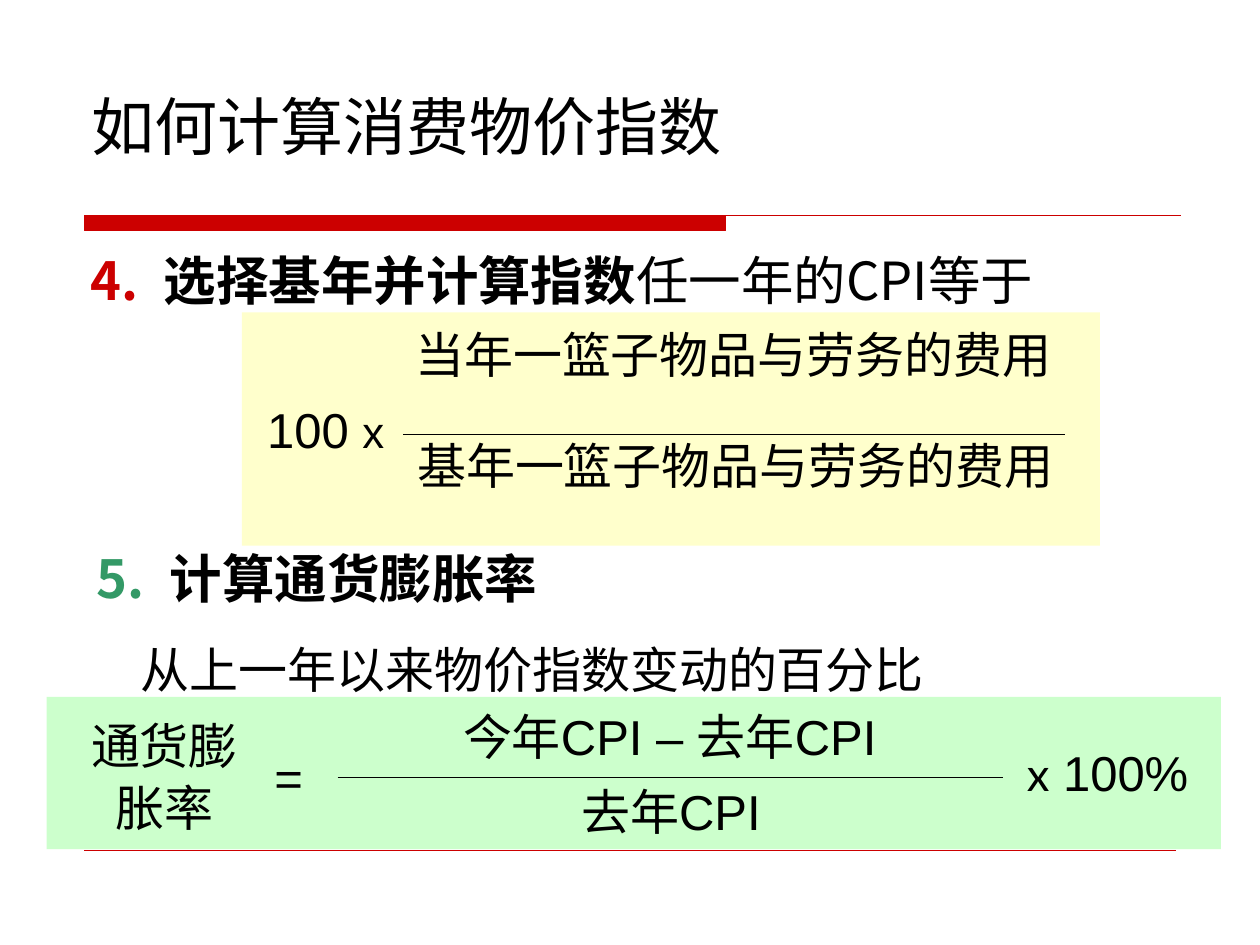
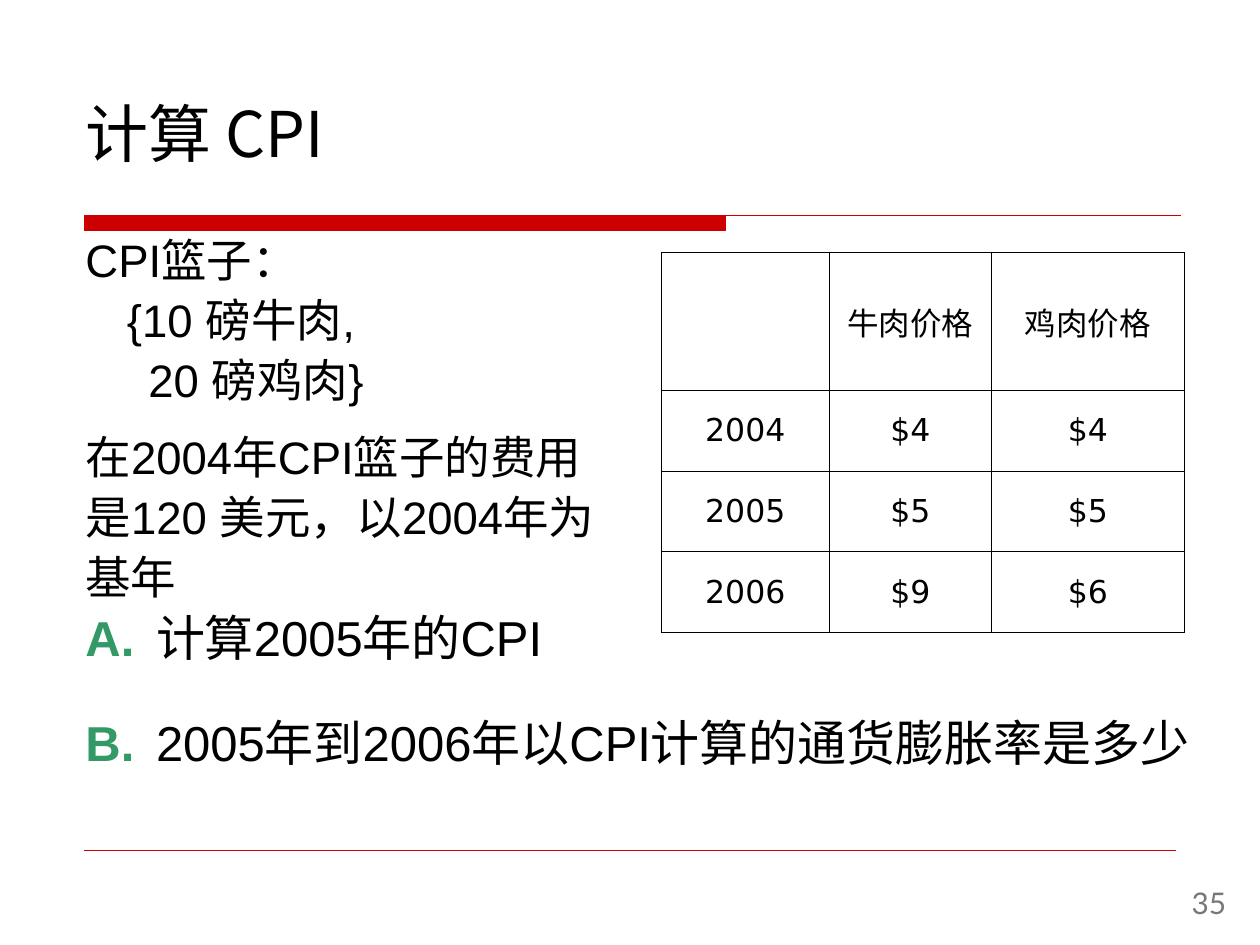
from lxml.etree import SubElement
from pptx import Presentation
from pptx.dml.color import RGBColor
from pptx.enum.shapes import MSO_CONNECTOR as Connector, MSO_SHAPE as Preset
from pptx.enum.text import MSO_ANCHOR as Anchor, PP_ALIGN as Align
from pptx.oxml import parse_xml
from pptx.oxml.ns import nsdecls, qn
from pptx.util import Inches, Pt

COLORS = {
    "ink": "000000", "paper": "FFFFFF", "red": "CC0000", "green": "339966",
    "yellow_panel": "FFFFCC", "green_panel": "CCFFCC", "page": "777777",
}
CJK, BODY, TABLE, LABEL = "Noto Sans CJK SC", "Arial", "DejaVu Sans", "Lato"
COLUMNS, ROWS = 100, 75


def color(name):
    return RGBColor.from_string(COLORS[name])


def add_run(paragraph, text, size, font, ink, bold):
    run = paragraph.add_run()
    run.text = text
    run.font.size = Pt(size)
    run.font.bold = bold
    run.font.color.rgb = color(ink)
    run.font.name = font
    SubElement(run.font._element, qn("a:ea"), typeface=CJK)


def write(frame, text, size=28, font=BODY, ink="ink", bold=False, align=Align.LEFT,
          before=0, spacing=1, left=0, hang=0, number=None, number_ink="ink"):
    """Write one paragraph; text is a string or a list of (string, format changes)."""
    first = frame.paragraphs[0]
    paragraph = frame.add_paragraph() if first.runs else first
    paragraph.alignment = align
    paragraph.space_before = Pt(before)
    paragraph.line_spacing = spacing
    properties = paragraph._p.get_or_add_pPr()
    properties.set("marL", str(Inches(left)))
    properties.set("indent", str(-Inches(hang)))
    if number:
        bullet_color = SubElement(properties, qn("a:buClr"))
        SubElement(bullet_color, qn("a:srgbClr"), val=COLORS[number_ink])
        SubElement(properties, qn("a:buFont"), typeface=CJK)
        SubElement(properties, qn("a:buAutoNum"), type="arabicPeriod", startAt=str(number))
    else:
        SubElement(properties, qn("a:buNone"))
    base = dict(size=size, font=font, ink=ink, bold=bold)
    for part, changes in [(text, {})] if isinstance(text, str) else text:
        add_run(paragraph, part, **{**base, **changes})


class Deck:
    """Hold the presentation, its style and the current slide."""

    def __init__(self):
        self.presentation = Presentation()
        self.presentation.slide_width = Inches(10)
        self.presentation.slide_height = Inches(7.5)
        self.column = self.presentation.slide_width / COLUMNS
        self.row = self.presentation.slide_height / ROWS

    def x(self, columns):
        return round(columns * self.column)

    def y(self, rows):
        return round(rows * self.row)

    def area(self, left, top, width, height):
        return self.x(left), self.y(top), self.x(width), self.y(height)

    def new_slide(self, title, title_area, anchor, top_inset):
        layout = self.presentation.slide_layouts[6]
        self.slide = self.presentation.slides.add_slide(layout)
        self.title_rule()
        self.line(6.7, 93.3, 67.5, "red", 0.25)
        frame = self.text_box(title_area, anchor, top_inset)
        write(frame, title, size=36, font=CJK)

    def title_rule(self):
        left, middle, right = self.x(6.7), self.x(57.6), self.x(93.7)
        top, bottom = self.y(17.1), self.y(18.3)
        builder = self.slide.shapes.build_freeform(left, top)
        builder.add_line_segments([(middle, top), (middle, bottom), (left, bottom)])
        builder.move_to(left, top)
        builder.add_line_segments([(right, top)], close=False)
        shape = builder.convert_to_shape()
        shape.shadow.inherit = False
        shape.fill.solid()
        shape.fill.fore_color.rgb = color("red")
        shape.line.color.rgb = color("red")
        shape.line.width = Pt(0.75)

    def line(self, left, right, row, ink="ink", width=0.75):
        connector = self.slide.shapes.add_connector(
            Connector.STRAIGHT, self.x(left), self.y(row), self.x(right), self.y(row))
        connector.line.color.rgb = color(ink)
        connector.line.width = Pt(width)
        SubElement(connector._element.spPr, qn("a:effectLst"))

    def text_box(self, area, anchor=Anchor.TOP, top_inset=0.05):
        frame = self.slide.shapes.add_textbox(*self.area(*area)).text_frame
        frame.word_wrap = True
        frame.vertical_anchor = anchor
        frame.margin_top = Inches(top_inset)
        return frame

    def label(self, area, text, **text_format):
        write(self.text_box(area), text, **{"align": Align.CENTER, **text_format})

    def panel(self, area, fill):
        shape = self.slide.shapes.add_shape(Preset.RECTANGLE, *self.area(*area))
        shape.shadow.inherit = False
        shape.fill.solid()
        shape.fill.fore_color.rgb = color(fill)
        shape.line.fill.background()
        shape.text_frame.vertical_anchor = Anchor.MIDDLE
        shape.text_frame.margin_left = Inches(0.2)
        return shape.text_frame

    def table(self, left, top, widths, heights, values):
        area = self.area(left, top, sum(widths), sum(heights))
        table = self.slide.shapes.add_table(len(heights), len(widths), *area).table
        for column, width in zip(table.columns, widths):
            column.width = self.x(width)
        for row, height, texts in zip(table.rows, heights, values):
            row.height = self.y(height)
            for cell, text in zip(row.cells, texts):
                self.cell(cell, text)

    def cell(self, cell, text):
        cell.vertical_anchor = Anchor.MIDDLE
        if text:
            write(cell.text_frame, text, size=18, font=TABLE, align=Align.CENTER)
        properties = cell._tc.get_or_add_tcPr()
        for side in ("lnL", "lnR", "lnT", "lnB"):
            properties.append(parse_xml(
                f'<a:{side} {nsdecls("a")} w="{Pt(0.45)}"><a:solidFill>'
                f'<a:srgbClr val="{COLORS["ink"]}"/></a:solidFill></a:{side}>'))
        cell.fill.solid()
        cell.fill.fore_color.rgb = color("paper")


def index_slide(deck):
    deck.new_slide("如何计算消费物价指数", (6.3, 3.3, 87.5, 13.3), Anchor.MIDDLE, 0.05)
    step = dict(size=30, bold=True, left=0.58, hang=0.58)
    write(deck.text_box((6.2, 19.2, 87.5, 10.1)),
          [("选择基年并计算指数", {}), ("任一年的CPI等于", {"bold": False})],
          font=CJK, number=4, number_ink="red", **step)
    frame = deck.text_box((6.7, 42.6, 90, 17.4))
    write(frame, "计算通货膨胀率", font=TABLE, number=5, number_ink="green",
          spacing=1.05, **step)
    write(frame, "从上一年以来物价指数变动的百分比", left=0.35, before=15.8, spacing=1.05)

    frame = deck.panel((19.2, 24.8, 68.1, 18.5), "yellow_panel")
    write(frame, [("100 ", {}), ("x", {"size": 25})])
    deck.label((31.1, 25.3, 54.2, 5.7), "当年一篮子物品与劳务的费用")
    deck.label((31.9, 34.1, 52.9, 5.7), "基年一篮子物品与劳务的费用")
    deck.line(32, 84.5, 34.5)

    deck.panel((3.7, 55.3, 93.2, 12.1), "green_panel")
    deck.label((25.9, 55.6, 54.5, 5.7), "今年CPI – 去年CPI")
    deck.label((26.7, 61.5, 53.1, 5.7), "去年CPI")
    deck.line(26.8, 79.6, 61.7)
    deck.label((5.1, 56.1, 15.9, 10.8), "通货膨胀率", spacing=1.05)
    deck.label((79.5, 58.4, 16.8, 5.7), [("x", {"size": 26, "font": LABEL}), (" 100%", {})])
    deck.label((20.5, 58.8, 4.8, 5.7), "=")


def exercise_slide(deck):
    deck.new_slide("计算 CPI", (5.8, 7.5, 89.8, 9.1), Anchor.TOP, 0)
    deck.label((90.8, 69.7, 7.5, 4), "35", size=17, font=LABEL, ink="page", align=Align.RIGHT)

    frame = deck.text_box((5.8, 17.5, 44.7, 27.5))
    basket = [("CPI篮子：", 0, 0), ("{10 磅牛肉,", 0.33, 0), ("20 磅鸡肉}", 0.5, 0),
              ("在2004年CPI篮子的费用是120 美元，以2004年为基年", 0, 9.8)]
    for text, left, before in basket:
        write(frame, text, size=26, left=left, before=before, spacing=1.1)

    frame = deck.text_box((5.8, 47.5, 89.9, 21.7))
    questions = [("A.", "计算2005年的CPI", 0),
                 ("B.", "2005年到2006年以CPI计算的通货膨胀率是多少", 24.5)]
    for letter, question, before in questions:
        write(frame, [(letter + "\t", {"ink": "green", "bold": True}), (question, {})],
              left=0.56, hang=0.56, before=before, spacing=1.05)

    deck.table(52.5, 20, [13.3, 12.9, 15.3], [11] + [6.4] * 3, [
        ("", "牛肉价格", "鸡肉价格"),
        ("2004", "$4", "$4"),
        ("2005", "$5", "$5"),
        ("2006", "$9", "$6"),
    ])


def main():
    deck = Deck()
    index_slide(deck)
    exercise_slide(deck)
    deck.presentation.save("out.pptx")


if __name__ == "__main__":
    main()
